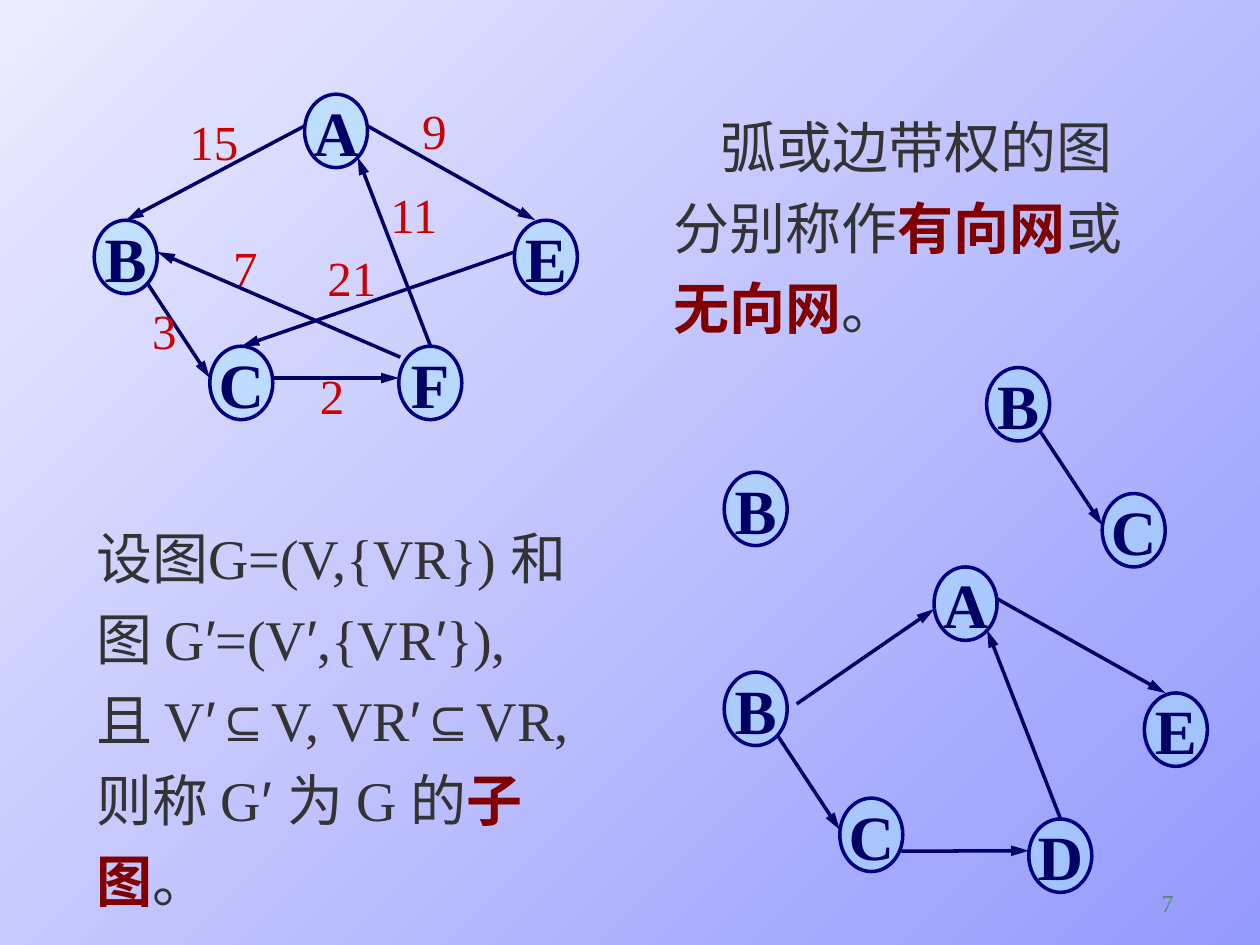
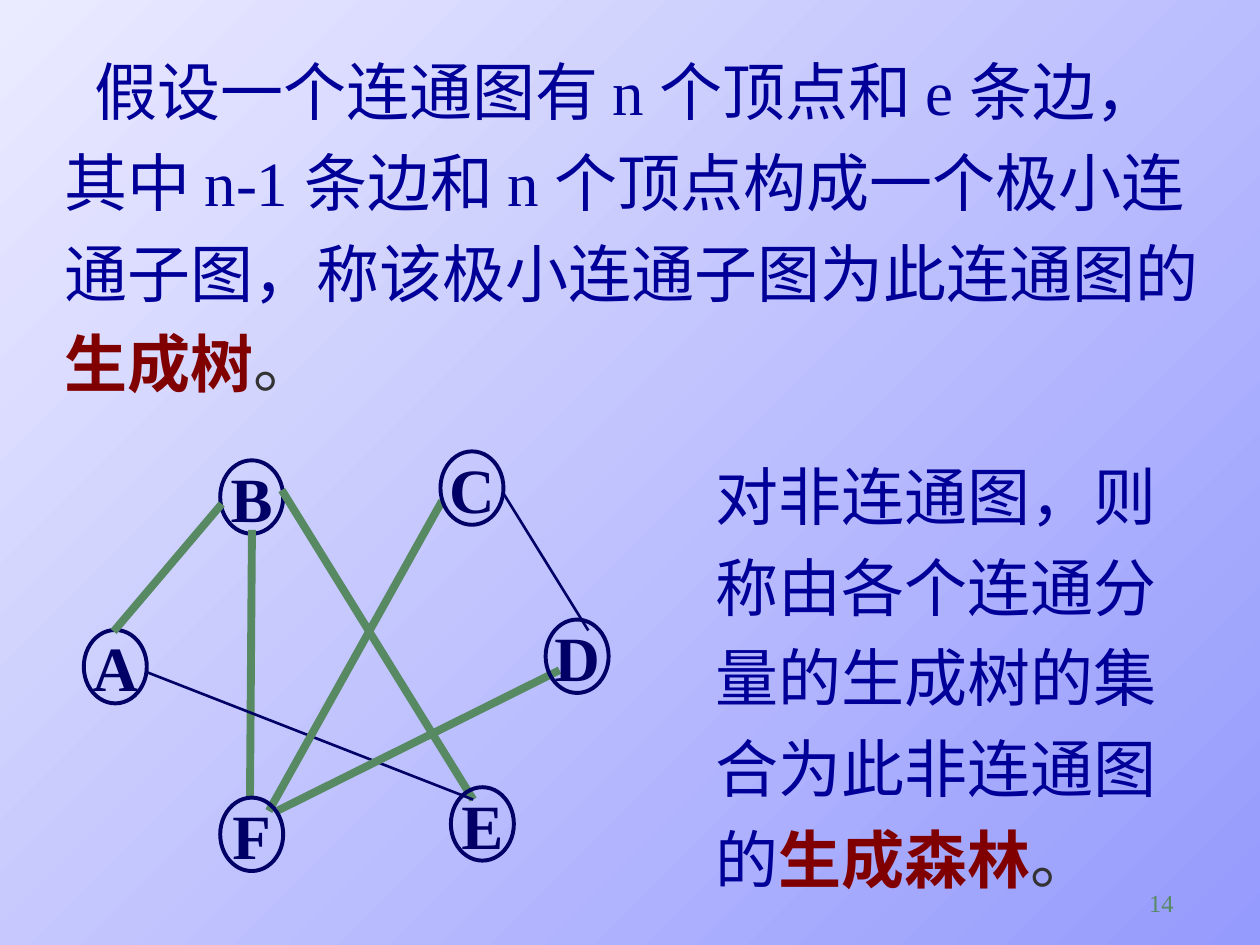
import pptx
import pptx.dml.color
import pptx.enum.dml
import pptx.enum.shapes
import pptx.enum.text
import pptx.oxml.ns
import pptx.util
from lxml import etree
from pptx.util import Cm

COLORS = {
    "background_dark": "959AFD",
    "background_light": "EBEBFF",
    "node_fill": "A7E2FF",
    "node_line": "000080",
    "navy": "000066",
    "green": "578963",
    "weight": "CC0000",
    "text": "333333",
    "blue": "000099",
    "term": "800000",
}
SERIF, SANS, CHINESE = "Times New Roman", "Arial", "Noto Sans CJK SC"
NODE_WIDTH, NODE_HEIGHT = 1.27, 1.48

PORTS = {
    "top": (0.64, 0),
    "top_center": (0.6, 0.03),
    "top_left": (0.42, 0),
    "left": (0, 0.64),
    "left_low": (0, 0.85),
    "left_middle": (0.03, 0.88),
    "left_lower": (0.03, 1),
    "right": (1.27, 0.64),
    "right_upper": (1.24, 0.6),
    "right_low": (1.27, 0.85),
    "right_lower": (1.24, 1.07),
    "right_gap": (1.46, 0.64),
    "bottom": (0.64, 1.4),
    "lower_right": (1.07, 1.27),
    "lower_left": (0.28, 1.02),
    "corner_left": (0.03, 0.22),
    "inner_left": (0.45, 0.25),
    "inner_right": (0.86, 0.22),
    "inner_far_right": (0.98, 0.27),
    "corner_right": (1.16, 0.26),
}
EDGE_STYLES = {
    "arc": ("navy", 2, True),
    "tree": ("green", 4.5, False),
    "spare": ("navy", 1.5, False),
}


def rgb(name):
    """Return the palette colour called name."""
    return pptx.dml.color.RGBColor.from_string(COLORS[name])


def style_font(font, size, color, name=SERIF, bold=False):
    """Set size, colour, typeface and weight of a font."""
    font.size = pptx.util.Pt(size)
    font.color.rgb = rgb(color)
    font.name = name
    font.bold = bold


def add_page(presentation, number):
    """Add a blank slide with the shared gradient and page number."""
    slide = presentation.slides.add_slide(presentation.slide_layouts[6])
    fill = slide.background.fill
    fill.gradient()
    fill.gradient_angle = 135
    for stop, name in zip(fill.gradient_stops, ("background_dark", "background_light")):
        stop.color.rgb = rgb(name)
    add_label(slide.shapes, (18.63, 17.78, 5.28, 1.27), number, 14, "green",
              pptx.enum.text.PP_ALIGN.RIGHT)
    return slide


def add_label(shapes, box, text, size, color, alignment=pptx.enum.text.PP_ALIGN.LEFT):
    """Add a one-line label."""
    frame = shapes.add_textbox(*map(Cm, box)).text_frame
    frame.word_wrap = False
    paragraph = frame.paragraphs[0]
    paragraph.text = text
    paragraph.alignment = alignment
    style_font(paragraph.font, size, color)


def add_text(slide, box, size, paragraphs, indent=0, top_margin=0.13):
    """Add wrapped paragraphs, each a list of (text, colour, typeface) runs."""
    frame = slide.shapes.add_textbox(*map(Cm, box)).text_frame
    frame.word_wrap = True
    frame.margin_top = Cm(top_margin)
    for index, runs in enumerate(paragraphs):
        paragraph = frame.add_paragraph() if index else frame.paragraphs[0]
        paragraph.line_spacing = 1.2
        properties = paragraph._p.get_or_add_pPr()
        properties.set("hangingPunct", "0")
        properties.set("indent", str(Cm(indent)))
        for text, color, typeface in runs:
            run = paragraph.add_run()
            run.text = text
            style_font(run.font, size, color, typeface, color == "term")


def add_node(shapes, left, top, letter, filled):
    """Add a lettered vertex."""
    node = shapes.add_shape(pptx.enum.shapes.MSO_SHAPE.OVAL, Cm(left), Cm(top),
                            Cm(NODE_WIDTH), Cm(NODE_HEIGHT))
    node.shadow.inherit = False
    if filled:
        node.fill.solid()
        node.fill.fore_color.rgb = rgb("node_fill")
        color = node._element.spPr.find(".//" + pptx.oxml.ns.qn("a:srgbClr"))
        etree.SubElement(color, pptx.oxml.ns.qn("a:alpha"), val="50000")
    else:
        node.fill.background()
    node.line.color.rgb = rgb("node_line" if filled else "navy")
    node.line.width = pptx.util.Pt(2 if filled else 2.25)
    frame = node.text_frame
    frame.word_wrap = False
    frame.vertical_anchor = pptx.enum.text.MSO_ANCHOR.MIDDLE
    paragraph = frame.paragraphs[0]
    paragraph.text = letter
    paragraph.alignment = pptx.enum.text.PP_ALIGN.CENTER
    style_font(paragraph.font, 36, "navy", bold=True)


def add_edge(shapes, start, end, style):
    """Add a straight edge between two points."""
    color, width, arrow = EDGE_STYLES[style]
    edge = shapes.add_connector(pptx.enum.shapes.MSO_CONNECTOR.STRAIGHT,
                                *map(Cm, start + end))
    edge.line.color.rgb = rgb(color)
    edge.line.width = pptx.util.Pt(width)
    if arrow:
        etree.SubElement(edge.line._get_or_add_ln(), pptx.oxml.ns.qn("a:tailEnd"),
                         type="triangle", w="med", len="lg")
    etree.SubElement(edge._element.spPr, pptx.oxml.ns.qn("a:effectLst"))


def add_graph(slide, origin, nodes, edges, filled=True, behind=0):
    """Draw a graph at origin, its first few nodes behind the edges."""
    shapes = slide.shapes.add_group_shape().shapes
    left, top = origin
    places = {letter: (left + x, top + y) for letter, (x, y) in nodes.items()}
    letters = list(places)
    for letter in letters[:behind]:
        add_node(shapes, *places[letter], letter, filled)
    for start, start_port, end, end_port, style in edges:
        points = [
            tuple(a + b for a, b in zip(places[letter], PORTS[port]))
            for letter, port in ((start, start_port), (end, end_port))
        ]
        add_edge(shapes, *points, style)
    for letter in letters[behind:]:
        add_node(shapes, *places[letter], letter, filled)


def add_weights(slide, origin, weights):
    """Write the arc weights at places relative to origin."""
    for text, x, y in weights:
        width = 1 if len(text) == 1 else 1.5
        add_label(slide.shapes, (origin[0] + x, origin[1] + y, width, 1.45),
                  text, 28, "weight")


def build_networks(presentation):
    """Build the slide on networks and subgraphs."""
    slide = add_page(presentation, "7")
    network = (1.9, 1.9)
    add_graph(
        slide, network,
        {"A": (4.24, 0), "B": (0, 2.54), "E": (8.47, 2.54),
         "C": (2.33, 5.08), "F": (6.14, 5.08)},
        [("A", "left", "B", "top", "arc"),
         ("B", "lower_right", "C", "left", "arc"),
         ("C", "right", "F", "left", "arc"),
         ("F", "top", "A", "lower_right", "arc"),
         ("A", "right", "E", "top_left", "arc"),
         ("F", "corner_left", "B", "right", "arc"),
         ("E", "left", "C", "top", "arc")])
    add_weights(slide, network, [
        ("15", 1.67, 0.22), ("9", 6.36, 0), ("7", 2.55, 2.76), ("21", 4.45, 2.97),
        ("11", 5.72, 1.7), ("3", 0.92, 4.03), ("2", 4.3, 5.35)])
    add_graph(slide, (14.6, 9.52), {"B": (0, 0)}, [])
    add_graph(slide, (19.89, 7.41), {"B": (0, 0), "C": (2.33, 2.54)},
              [("B", "lower_right", "C", "left", "arc")])
    add_graph(
        slide, (14.6, 11.43),
        {"A": (4.23, 0), "E": (8.47, 2.54), "D": (6.14, 5.08),
         "B": (0, 2.12), "C": (2.33, 4.66)},
        [("C", "right_lower", "D", "left", "arc"),
         ("D", "top", "A", "lower_right", "arc"),
         ("A", "right", "E", "top_left", "arc"),
         ("B", "lower_right", "C", "left", "arc"),
         ("B", "right_gap", "A", "left_low", "arc")])
    add_text(slide, (1.69, 10.16, 11, 8.38), 32, [
        [("设图G=(V,{VR}) 和图 G", "text", SERIF), ("′", "text", SANS),
         ("=(V", "text", SERIF), ("′", "text", SANS), (",{VR", "text", SERIF),
         ("′", "text", SANS), ("}),", "text", SERIF)],
        [("且 V", "text", SERIF), ("′⊆", "text", SANS), ("V, VR", "text", SERIF),
         ("′⊆", "text", SANS), ("VR,", "text", SERIF)],
        [("则称 G", "text", SERIF), ("′ ", "text", SANS), ("为 G 的", "text", SERIF),
         ("子图", "term", SERIF), ("。", "text", SERIF)]])
    add_text(slide, (13.33, 1.48, 10.16, 5.54), 32, [
        [("弧或边带权的图分别称作", "text", SERIF), ("有向网", "term", SERIF),
         ("或", "text", SERIF), ("无向网", "term", SERIF), ("。", "text", SERIF)]],
        indent=0.94, top_margin=0.52)


def build_spanning_trees(presentation):
    """Build the slide on spanning trees and forests."""
    slide = add_page(presentation, "14")
    add_text(slide, (1.05, 0.63, 23.71, 7.57), 36, [
        [("假设一个连通图有 ", "blue", CHINESE), ("n ", "blue", SERIF),
         ("个顶点和 ", "blue", CHINESE), ("e ", "blue", SERIF),
         ("条边，其中 ", "blue", CHINESE), ("n-1 ", "blue", SERIF),
         ("条边和 ", "blue", CHINESE), ("n ", "blue", SERIF),
         ("个顶点构成一个极小连通子图，称该极小连通子图为此连通图的", "blue", CHINESE),
         ("生成树", "term", CHINESE), ("。", "text", CHINESE)]], indent=0.6)
    add_text(slide, (14.18, 8.79, 10.58, 9.4), 36, [
        [("对非连通图，则称由各个连通分量的生成树的集合为此非连通图的", "blue", SERIF),
         ("生成森林", "term", SERIF), ("。", "text", SERIF)]])
    add_graph(
        slide, (1.69, 9.1),
        {"B": (2.75, 0.18), "A": (0, 3.6), "C": (7.19, 0), "D": (9.31, 3.39),
         "F": (2.75, 6.98), "E": (7.4, 6.77)},
        [("B", "bottom", "F", "top_center", "tree"),
         ("B", "left_middle", "A", "top_center", "tree"),
         ("B", "right_upper", "E", "inner_left", "tree"),
         ("A", "right_low", "E", "inner_left", "spare"),
         ("C", "left_lower", "F", "inner_far_right", "tree"),
         ("C", "right_low", "D", "inner_right", "spare"),
         ("D", "lower_left", "F", "corner_right", "tree")],
        filled=False, behind=2)


def main():
    """Build and save the presentation."""
    presentation = pptx.Presentation()
    presentation.slide_width, presentation.slide_height = Cm(25.4), Cm(19.05)
    build_networks(presentation)
    build_spanning_trees(presentation)
    presentation.save("out.pptx")


if __name__ == "__main__":
    main()
